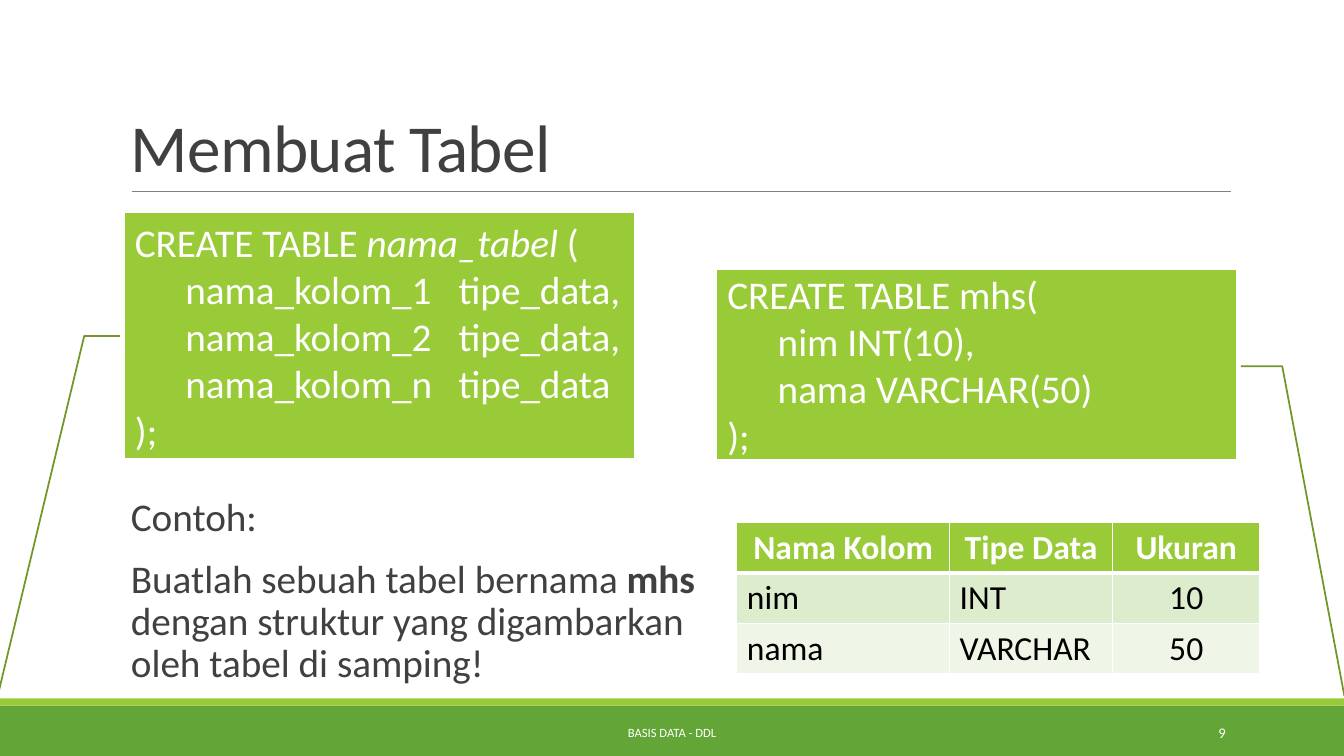
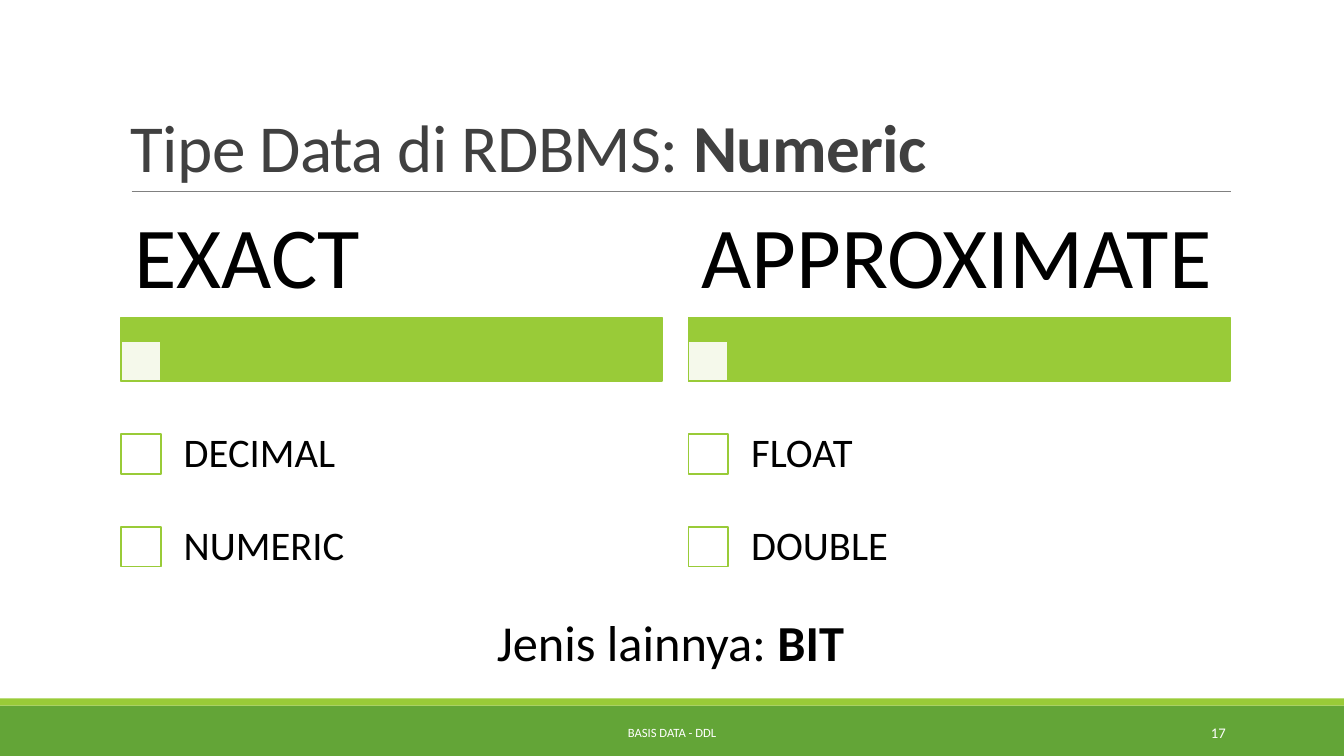
"""Builds two slides on creating tables and on numeric data types."""
from lxml import etree
from pptx import Presentation
from pptx.dml.color import RGBColor
from pptx.enum.shapes import MSO_CONNECTOR, MSO_SHAPE
from pptx.enum.text import MSO_ANCHOR, PP_ALIGN
from pptx.oxml.ns import qn
from pptx.util import Cm, Pt

RECT, CALLOUT = MSO_SHAPE.RECTANGLE, MSO_SHAPE.LINE_CALLOUT_2_NO_BORDER
STRAIGHT = MSO_CONNECTOR.STRAIGHT
LEFT, MID, RIGHT = PP_ALIGN.LEFT, PP_ALIGN.CENTER, PP_ALIGN.RIGHT
TOP, CENTRE, BASE = MSO_ANCHOR.TOP, MSO_ANCHOR.MIDDLE, MSO_ANCHOR.BOTTOM


class Theme:
    """Colours, font and text styles of the deck."""

    font = "Calibri"
    lime, green, olive = "99CB38", "63A537", "719629"
    white, black, dark, grey = "FFFFFF", "000000", "404040", "808080"
    rows = ["99CB38", "DEECCE", "EFF6E8"]
    plain = {"align": LEFT, "anchor": CENTRE, "lead": 1.0, "inset": (0.25, 0.13)}
    styles = {
        "title": {"size": 48, "ink": dark, "anchor": BASE, "lead": 0.85},
        "body": {"size": 28, "ink": dark, "anchor": TOP, "lead": 0.9, "inset": (0, 0.13)},
        "code": {"size": 28, "ink": white},
        "footer": {"size": 9, "ink": white, "align": MID},
        "number": {"size": 10.5, "ink": white, "align": RIGHT},
        "head": {"size": 24, "ink": white, "anchor": TOP},
        "cell": {"size": 24, "ink": black, "anchor": TOP},
        "group": {"size": 62, "ink": black, "lead": 0.9, "inset": (0.33, 0.23)},
        "item": {"size": 29, "ink": black, "lead": 0.9, "inset": (0.58, 0.58)},
        "note": {"size": 36, "ink": black, "anchor": TOP},
    }


def draw(page, kind, at, fill=None, edge=None):
    """Add a preset shape, or a text box when no kind is given."""
    spot = [Cm(n) for n in at]
    if kind is None:
        return page.shapes.add_textbox(*spot)
    shape = page.shapes.add_shape(kind, *spot)
    shape.shadow.inherit = False
    shape.fill.solid()
    shape.fill.fore_color.rgb = RGBColor.from_string(fill)
    if edge:
        shape.line.color.rgb = RGBColor.from_string(edge)
        shape.line.width = Pt(1.25)
    else:
        shape.line.fill.background()
    return shape


def write(frame, style, paras, **extra):
    """Fill a text frame; a paragraph is a string or a list of (text, flag) runs."""
    look = {**Theme.plain, **Theme.styles[style], **extra}
    side, rim = (Cm(n) for n in look["inset"])
    form = {"word_wrap": True, "vertical_anchor": look["anchor"], "margin_left": side,
            "margin_right": side, "margin_top": rim, "margin_bottom": rim}
    for name, value in form.items():
        setattr(frame, name, value)
    for i, runs in enumerate(paras):
        para = frame.add_paragraph() if i else frame.paragraphs[0]
        form = {"alignment": look["align"], "line_spacing": look["lead"],
                "space_before": Pt(look.get("before", 0))}
        for name, value in form.items():
            setattr(para, name, value)
        for text, flag in [(runs, None)] if isinstance(runs, str) else runs:
            run = para.add_run()
            run.text = text
            form = {"name": Theme.font, "size": Pt(look["size"])}
            if flag:
                form[flag] = True
            for name, value in form.items():
                setattr(run.font, name, value)
            run.font.color.rgb = RGBColor.from_string(look["ink"])
            if style == "title":
                run.font._element.set("spc", "-50")


deck = Presentation()
deck.slide_width, deck.slide_height = Cm(33.87), Cm(19.05)

heads = [
    (["Membuat Tabel"], "9"),
    ([[("Tipe Data di RDBMS: ", None), ("Numeric", "bold")]], "17"),
]
pages = []
for title, number in heads:
    page = deck.slides.add_slide(deck.slide_layouts[6])
    pages.append(page)
    draw(page, RECT, (0, 17.78, 33.87, 1.27), Theme.green)
    draw(page, RECT, (0, 17.6, 33.87, 0.18), Theme.lime)
    rule = page.shapes.add_connector(STRAIGHT, Cm(3.32), Cm(4.83), Cm(31.02), Cm(4.83))
    rule.line.color.rgb = RGBColor.from_string(Theme.grey)
    rule.line.width = Pt(0.5)
    etree.SubElement(rule._element.spPr, qn("a:effectLst"))
    for style, at, paras in [
        ("title", (3.05, 0.8, 27.94, 4.03), title),
        ("footer", (10.24, 17.94, 13.39, 1.02), ["BASIS DATA - DDL"]),
        ("number", (27.51, 17.94, 3.63, 1.02), [number]),
    ]:
        write(draw(page, None, at).text_frame, style, paras)
make, types = pages

task = [
    "Contoh:",
    [("Buatlah sebuah tabel bernama ", None), ("mhs ", "bold"),
     ("dengan struktur yang digambarkan oleh tabel di samping!", None)],
]
write(draw(make, None, (3.3, 12.4, 14.4, 5.28)).text_frame, "body", task, before=14)

codes = [
    ((3.15, 5.38, 12.83, 6.17), (0.5, -0.01, 0.5, -0.08, 1.97, -0.25),
     [[("CREATE TABLE ", None), ("nama_tabel ", "italic"), ("(", None)],
      "\tnama_kolom_1\ttipe_data,", "\tnama_kolom_2\ttipe_data,",
      "\tnama_kolom_n\ttipe_data", ");"]),
    ((18.08, 6.81, 13.06, 4.75), (0.51, 1.01, 0.51, 1.09, 2.26, 1.21),
     ["CREATE TABLE mhs(", "\tnim INT(10),", "\tnama VARCHAR(50)", ");"]),
]
for at, bends, lines in codes:
    call = draw(make, CALLOUT, at, Theme.lime, Theme.olive)
    for i, bend in enumerate(bends):
        call.adjustments[i] = bend
    write(call.text_frame, "code", lines)
    for para in call.text_frame.paragraphs:
        tabs = etree.SubElement(para._p.get_or_add_pPr(), qn("a:tabLst"))
        for stop in (1.27, 8.16):
            etree.SubElement(tabs, qn("a:tab"), pos=str(Cm(stop)), algn="l")

data = [
    ("Nama Kolom", "Tipe Data", "Ukuran"),
    ("nim", "INT", "10"),
    ("nama", "VARCHAR", "50"),
]
wide, tall = (5.36, 4.11, 3.71), 1.27
grid = make.shapes.add_table(
    len(data), len(wide), Cm(18.57), Cm(13.16), Cm(sum(wide)), Cm(tall * len(data))).table
for col, width in zip(grid.columns, wide):
    col.width = Cm(width)
for r, row in enumerate(data):
    grid.rows[r].height = Cm(tall)
    for c, text in enumerate(row):
        cell = grid.cell(r, c)
        style = "cell" if r else "head"
        paras = [text] if r else [[(text, "bold")]]
        write(cell.text_frame, style, paras, align=LEFT if r and c < 2 else MID)
        props = cell._tc.get_or_add_tcPr()
        for side in "LRTB":
            thick = 3 if (r, side) in [(0, "B"), (1, "T")] else 1
            edge = etree.SubElement(props, qn("a:ln" + side), w=str(Pt(thick)))
            paint = etree.SubElement(edge, qn("a:solidFill"))
            etree.SubElement(paint, qn("a:srgbClr"), val=Theme.white)
        cell.fill.solid()
        cell.fill.fore_color.rgb = RGBColor.from_string(Theme.rows[r])

groups = [("EXACT", ("DECIMAL", "NUMERIC")), ("APPROXIMATE", ("FLOAT", "DOUBLE"))]
span, step, mark = 13.64, 2.34, 1
for g, (name, items) in enumerate(groups):
    x = 3.05 + 14.3 * g
    draw(types, RECT, (x, 8, span, 1.6), Theme.lime, Theme.lime)
    pale = draw(types, RECT, (x, 8.6, mark, mark), Theme.white, Theme.lime)
    tint = next(pale._element.spPr.iter(qn("a:srgbClr")))
    etree.SubElement(tint, qn("a:alpha"), val="90000")
    write(draw(types, None, (x, 5.13, span, 2.87)).text_frame, "group", [name])
    for i, item in enumerate(items):
        y = 10.29 + step * i
        draw(types, RECT, (x, y + 0.65, mark, mark), Theme.white, Theme.lime)
        label = draw(types, None, (x + mark, y, span - mark, step))
        write(label.text_frame, "item", [item])

other = [[("Jenis lainnya: ", None), ("BIT", "bold")]]
write(draw(types, None, (12.27, 15.27, 10, 1.8)).text_frame, "note", other)

deck.save("out.pptx")
